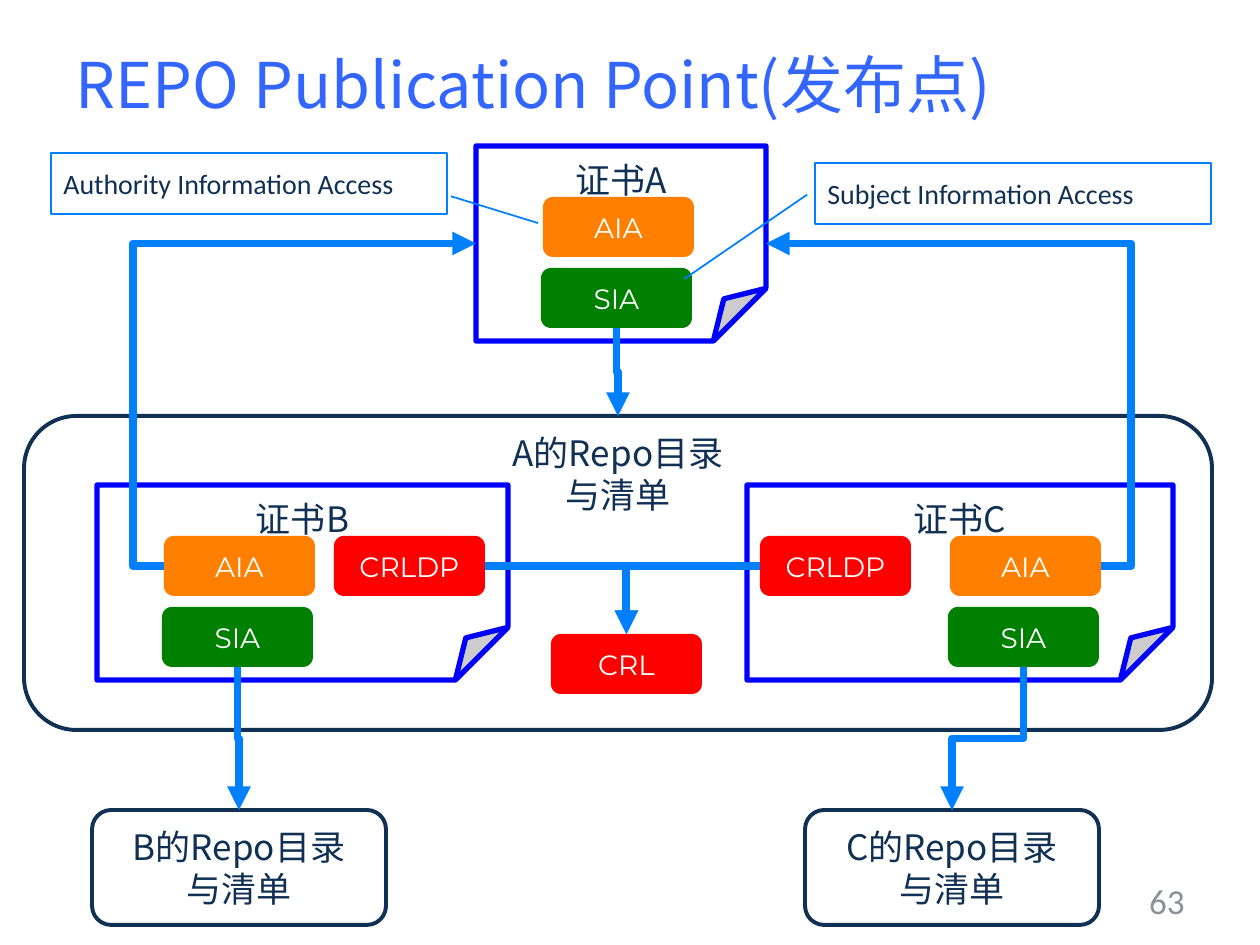
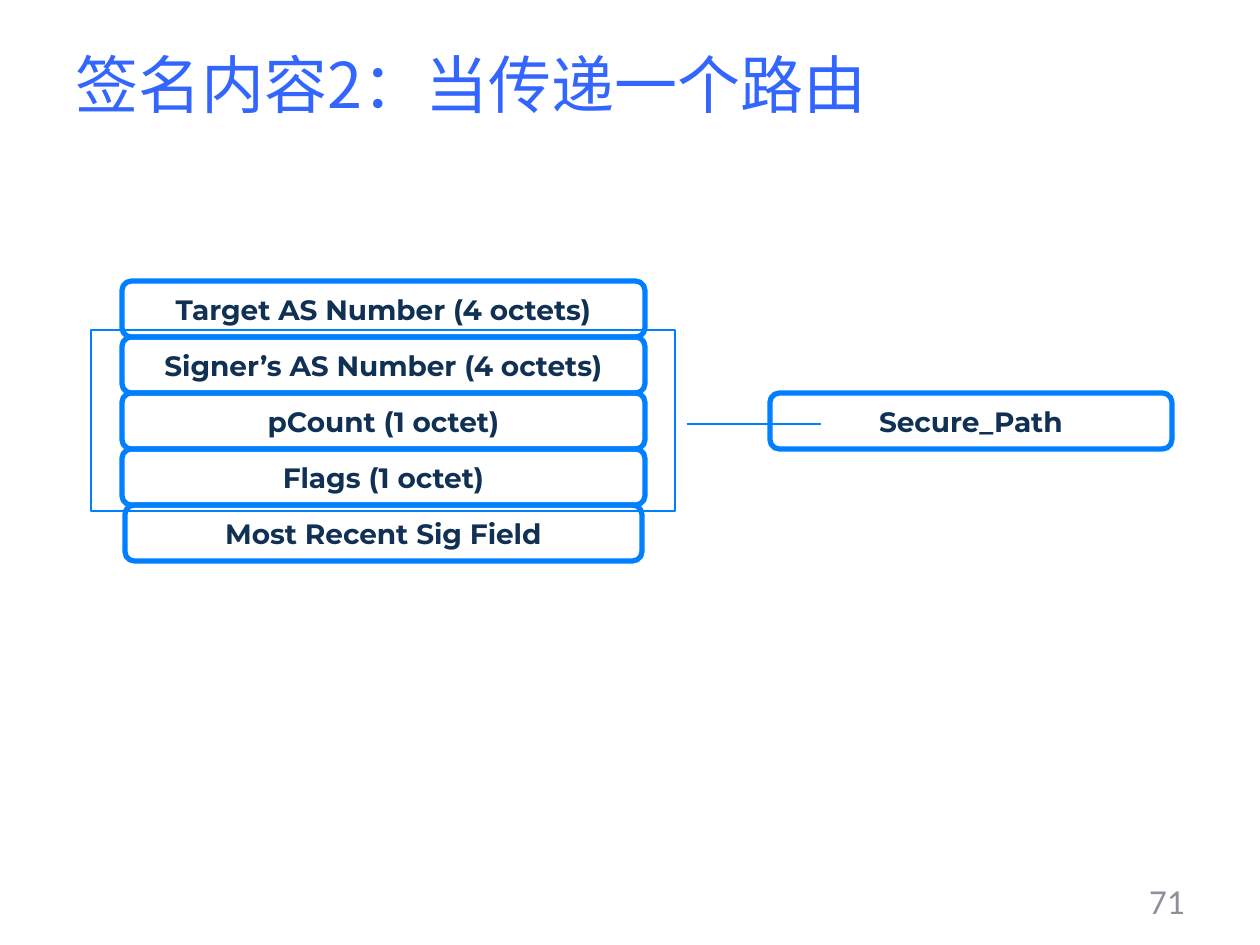
"""Build two slides on repository publication points and signed route content."""
from dataclasses import dataclass
from typing import NamedTuple

from lxml import etree
from pptx import Presentation
from pptx import util as u
from pptx.dml.color import RGBColor
from pptx.enum import shapes, text
from pptx.oxml.ns import qn

SCALE = 914400 / 126
NAVY, BLUE, SKY, INK, GREY = "103154", "0000FF", "0080FF", "3366FF", "8C9099"
WHITE, AMBER, GREEN, RED = "FFFFFF", "FF7F01", "008000", "FF0000"
HAN, SANS, MONT = "Noto Sans CJK SC", "Calibri", "Montserrat"
KIND, ALIGN, ANCHOR = shapes.MSO_SHAPE, text.PP_ALIGN, text.MSO_ANCHOR
TOP, LEFT, BASE, RIGHT = range(4)


class Box(NamedTuple):
    left: int
    top: int
    wide: int
    high: int


@dataclass(frozen=True)
class Type:
    face: str
    size: int
    hue: str
    bold: bool = False
    align: ALIGN = ALIGN.CENTER
    pitch: int | None = None


@dataclass(frozen=True)
class Look:
    kind: KIND
    type: Type
    fill: str | None = None
    edge: str | None = None
    width: float = 0
    anchor: ANCHOR = ANCHOR.MIDDLE
    inset: int = 6
    form: str = "roundRect"


@dataclass(frozen=True)
class Card:
    name: str
    box: Box
    shift: int


HEAD = Type(HAN, 36, INK, align=ALIGN.LEFT)
PAGE = Type(SANS, 20, GREY, align=ALIGN.RIGHT)
LABEL = Type(HAN, 20, NAVY, pitch=24)
PAPER = Look(KIND.FOLDED_CORNER, LABEL, WHITE, BLUE, 3, ANCHOR.TOP, 12, "foldedCorner")
REPO = Look(KIND.ROUNDED_RECTANGLE, LABEL, None, NAVY, 2.25)
STORE = Look(KIND.ROUNDED_RECTANGLE, LABEL, None, NAVY, 2.25, ANCHOR.TOP, 0)
CALL = Look(KIND.LINE_CALLOUT_1, Type(SANS, 16, NAVY, align=ALIGN.LEFT), None, SKY, 1,
            form="borderCallout1")
FIELD = Look(KIND.ROUNDED_RECTANGLE, Type(MONT, 16, NAVY, True), None, SKY, 3)
CHIPS = {hue: Look(KIND.ROUNDED_RECTANGLE, Type(MONT, 16, WHITE), hue)
         for hue in (AMBER, GREEN, RED)}

CARDS = (
    Card("A", Box(476, 146, 290, 195), 67),
    Card("B", Box(97, 485, 411, 195), 67),
    Card("C", Box(747, 485, 426, 195), 203),
)
REPOS = {"A": Box(24, 416, 1188, 314), "B": Box(92, 810, 294, 115),
         "C": Box(805, 810, 294, 115)}
CALLS = (
    ("Subject Information Access", Box(815, 163, 396, 61), (0.52, -0.02, 1.9, -0.33)),
    ("Authority Information Access", Box(51, 153, 396, 61), (0.71, 1.01, 1.15, 1.23)),
)
FIELDS = ("Target AS Number (4 octets)", "Signer’s AS Number (4 octets)",
          "pCount (1 octet)", "Flags (1 octet)", "Most Recent Sig Field")


def px(size: float) -> u.Emu:
    """Turn pixels into EMU."""
    return u.Emu(round(size * SCALE))


def span(box: Box) -> tuple:
    """Give a box in EMU."""
    return tuple(px(size) for size in box)


def tint(code: str) -> RGBColor:
    """Turn a hex string into a colour."""
    return RGBColor.from_string(code)


def mould(item, form: str, bends: dict[str, float]) -> None:
    """Set the preset outline and its named adjustments."""
    outline = item._element.spPr.find(qn("a:prstGeom"))
    outline.set("prst", form)
    if not bends:
        return
    for child in list(outline):
        outline.remove(child)
    guides = etree.SubElement(outline, qn("a:avLst"))
    for name, value in bends.items():
        etree.SubElement(guides, qn("a:gd"), name=name, fmla=f"val {round(value * 100000)}")


def write(frame, words: str, style: Type) -> None:
    """Fill a text frame, one paragraph per line."""
    frame.word_wrap = True
    frame.text = words
    for para in frame.paragraphs:
        para.alignment = style.align
        if style.pitch:
            para.line_spacing = u.Pt(style.pitch)
        font = para.font
        font.size, font.bold, font.name = u.Pt(style.size), style.bold, style.face
        font.color.rgb = tint(style.hue)
        base = para._p.pPr.find(qn("a:defRPr"))
        etree.SubElement(base, qn("a:ea"), typeface=style.face)


def label(slide, box: Box, words: str, style: Type) -> None:
    """Add a text box centred on its height."""
    frame = slide.shapes.add_textbox(*span(box)).text_frame
    frame.vertical_anchor = ANCHOR.MIDDLE
    write(frame, words, style)


def draw(slide, box: Box, look: Look, words: str = "", bends: dict | None = None):
    """Add a preset shape with its look, adjustments and words."""
    item = slide.shapes.add_shape(look.kind, *span(box))
    item.shadow.inherit = False
    mould(item, look.form, bends or {})
    if look.fill:
        item.fill.solid()
        item.fill.fore_color.rgb = tint(look.fill)
    else:
        item.fill.background()
    if look.edge:
        item.line.color.rgb = tint(look.edge)
        item.line.width = u.Pt(look.width)
    else:
        item.line.fill.background()
    frame = item.text_frame
    frame.vertical_anchor = look.anchor
    frame.margin_top = px(look.inset)
    if words:
        write(frame, words, look.type)
    return item


def call(slide, box: Box, words: str, ends: tuple) -> None:
    """Add a callout whose line runs between two relative ends."""
    bends = {f"adj{spot}": value for spot, value in enumerate(ends, 1)}
    draw(slide, box, CALL, words, bends)


def chip(slide, left: int, top: int, words: str, hue: str):
    """Add a small coloured tag."""
    return draw(slide, Box(left, top, 151, 60), CHIPS[hue], words)


def turn(line) -> None:
    """Make an elbow that runs downward leave its start vertically."""
    wide, high = line.width, line.height
    east = line.end_x > line.begin_x
    line.left += (wide - high) // 2
    line.top += (high - wide) // 2
    line.width, line.height = high, wide
    frame = line._element.spPr.xfrm
    frame.set("rot", "5400000")
    frame.set("flipH", "0")
    frame.set("flipV", str(int(east)))


def link(slide, start, exit: int, end, entry: int, bend: float = 0.5) -> None:
    """Join two shapes by an elbow arrow."""
    line = slide.shapes.add_connector(shapes.MSO_CONNECTOR.ELBOW, 0, 0, 0, 0)
    line.begin_connect(start, exit)
    line.end_connect(end, entry)
    line.line.color.rgb = tint(SKY)
    line.line.width = u.Pt(4.5)
    if exit == BASE:
        turn(line)
    if exit != BASE and entry == TOP:
        mould(line, "bentConnector2", {})
    else:
        mould(line, "bentConnector3", {"adj1": bend})
    props = line._element.spPr
    etree.SubElement(props.find(qn("a:ln")), qn("a:tailEnd"), type="triangle")
    etree.SubElement(props, qn("a:effectLst"))


def begin(deck, title: str, page: int):
    """Add a blank slide with its title and page number."""
    slide = deck.slides.add_slide(deck.slide_layouts[6])
    label(slide, Box(63, 5, 1134, 157), title, HEAD)
    label(slide, Box(903, 876, 294, 50), str(page), PAGE)
    return slide


def points(deck) -> None:
    """Draw certificates and the repositories they point to."""
    slide = begin(deck, "REPO Publication Point(发布点)", 63)
    sheet, aia, sia, repo = {}, {}, {}, {}
    for card in CARDS:
        name, box = card.name, card.box
        left = box.left + card.shift
        sheet[name] = draw(slide, box, PAPER, f"证书{name}", {"adj": 0.27})
        aia[name] = chip(slide, left, box.top + 51, "AIA", AMBER)
        sia[name] = chip(slide, left - 2, box.top + 122, "SIA", GREEN)
    for name, box in REPOS.items():
        look = STORE if name == "A" else REPO
        repo[name] = draw(slide, box, look, f"{name}的Repo目录\n与清单")
    for words, box, ends in CALLS:
        call(slide, box, words, ends)
    west = chip(slide, 334, 536, "CRLDP", RED)
    east = chip(slide, 760, 536, "CRLDP", RED)
    crl = chip(slide, 551, 634, "CRL", RED)
    for name in repo:
        link(slide, sia[name], BASE, repo[name], TOP)
    link(slide, aia["B"], LEFT, sheet["A"], LEFT, -0.1)
    link(slide, aia["C"], RIGHT, sheet["A"], RIGHT, -0.09)
    link(slide, east, LEFT, crl, TOP)
    link(slide, west, RIGHT, crl, TOP)


def route(deck) -> None:
    """Draw the stack of signed fields."""
    slide = begin(deck, "签名内容2：当传递一个路由", 71)
    for row, words in enumerate(FIELDS):
        trim = 3 if words == FIELDS[-1] else 0
        box = Box(122 + trim, 281 + 56 * row, 523 - 2 * trim, 56)
        draw(slide, box, FIELD, words)
    draw(slide, Box(770, 393, 402, 56), FIELD, "Secure_Path")
    call(slide, Box(91, 330, 584, 181), "", (0.52, 1.02, 0.52, 1.25))


def main() -> None:
    """Build and save the deck."""
    deck = Presentation()
    deck.slide_width, deck.slide_height = px(1260), px(945)
    points(deck)
    route(deck)
    deck.save("out.pptx")


if __name__ == "__main__":
    main()
